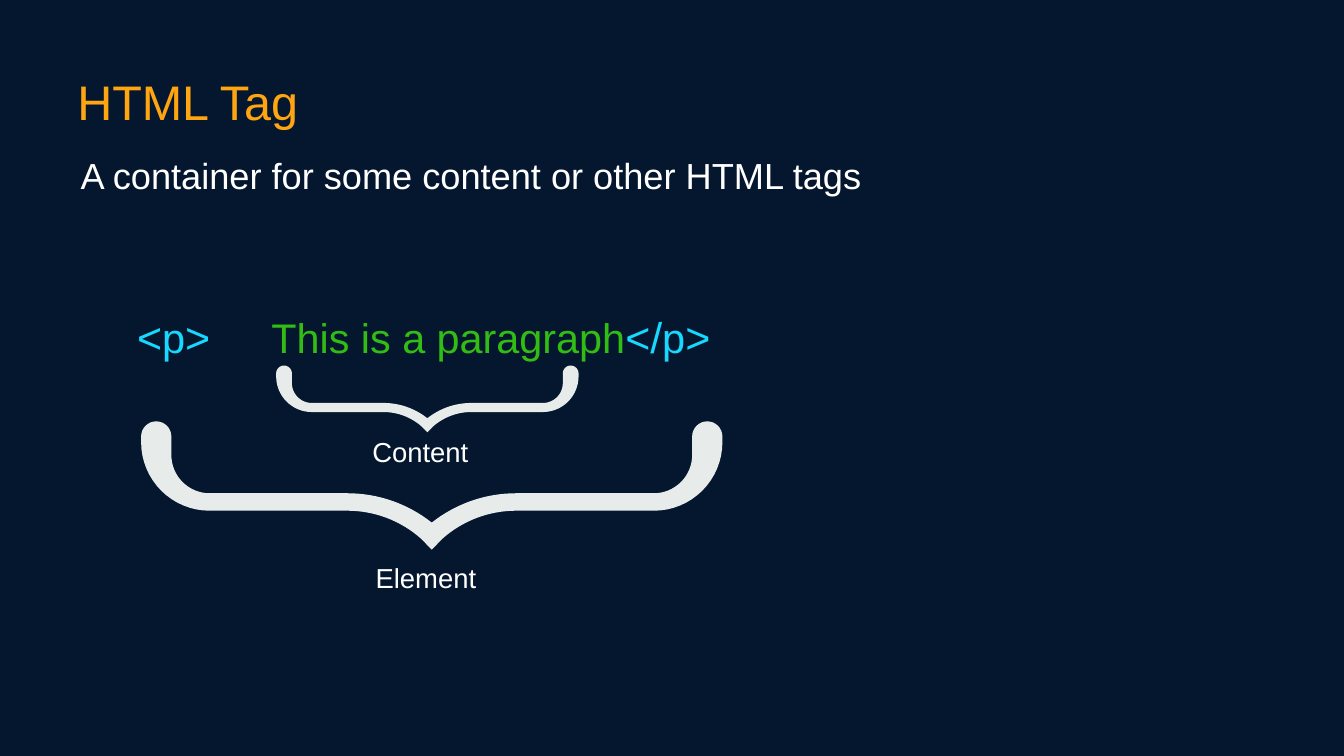
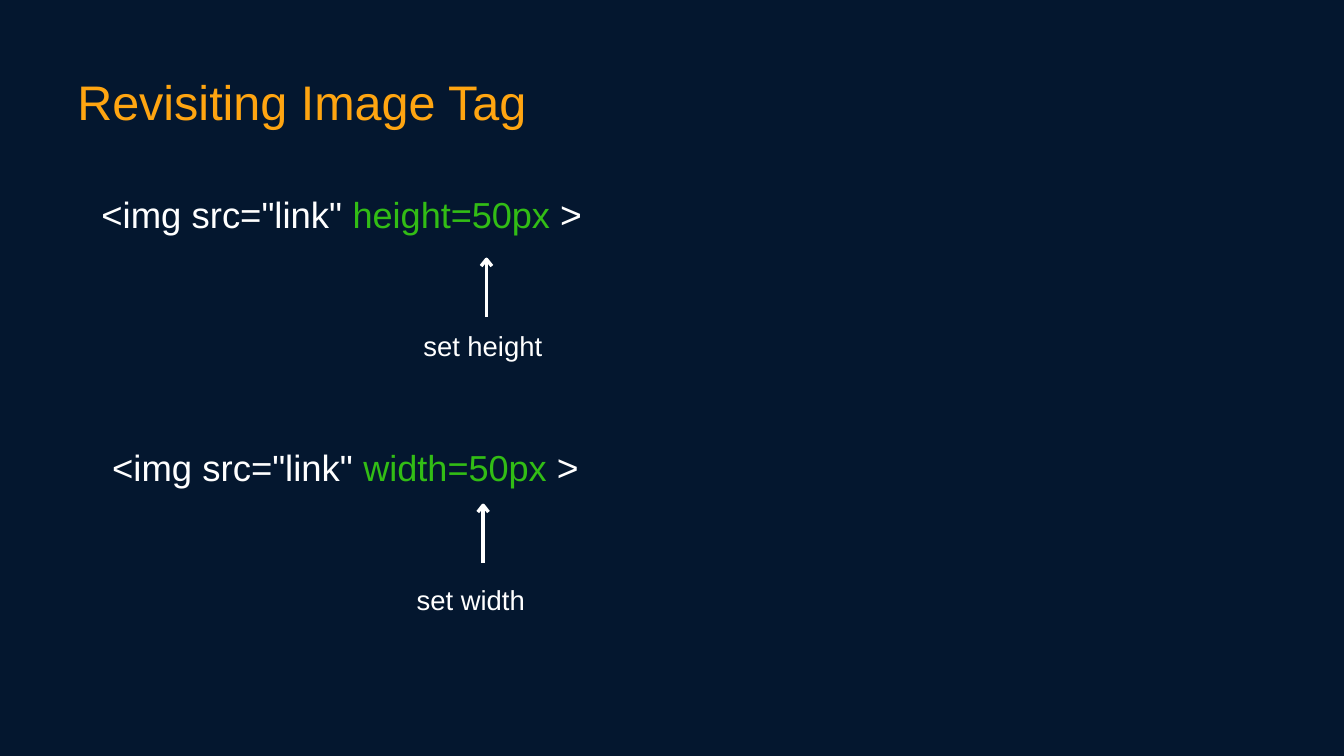
from math import cos, radians, sin

from lxml.etree import SubElement
from pptx import Presentation
from pptx.dml.color import RGBColor
from pptx.enum.shapes import MSO_CONNECTOR as Connector, MSO_SHAPE as Preset
from pptx.enum.text import MSO_ANCHOR as Anchor, MSO_AUTO_SIZE as AutoSize, PP_ALIGN as Align
from pptx.oxml.ns import qn
from pptx.util import Inches, Pt

# Shared look: a grid of 20 columns by 11.25 rows of square cells
SLIDE_W, SLIDE_H = Inches(20), Inches(11.25)
CELL = SLIDE_W / 20
FONT = "Arial"
COLORS = {
    "background": "04172F",
    "title": "FFA511",
    "text": "FFFFFF",
    "tag": "17D9FF",
    "highlight": "32BD15",
    "brace": "E7ECEB",
}
TITLE_SIZE, CODE_SIZE, LABEL_SIZE = 52, 39, 29.4
BRACKET_SIZE, TAG_NAME_SIZE = 46, 44.5
BRACE_WIDTH = 8.65
BRACE_END = 0.45 / 2


def color(name):
    return RGBColor.from_string(COLORS[name])


def cells(*counts):
    return [round(count * CELL) for count in counts]


def set_frame(frame):
    frame.word_wrap = True
    frame.auto_size = AutoSize.NONE
    frame.vertical_anchor = Anchor.TOP
    frame.margin_left = frame.margin_right = frame.margin_bottom = 0
    frame.margin_top = Inches(0.02)


def style(run, size, color_name):
    run.font.name = FONT
    run.font.size = Pt(size)
    run.font.color.rgb = color(color_name)


def fill_plain(shape, color_name):
    shape.shadow.inherit = False
    shape.fill.solid()
    shape.fill.fore_color.rgb = color(color_name)
    shape.line.fill.background()


def move_backdrop_to_master(deck, slide):
    """Draw the dark backdrop once and place it behind everything on the master."""
    backdrop = slide.shapes.add_shape(Preset.RECTANGLE, 0, 0, SLIDE_W, SLIDE_H)
    fill_plain(backdrop, "background")
    deck.slide_master.shapes._spTree.insert(2, backdrop._element)


def add_titled_slide(deck, heading):
    slide = deck.slides.add_slide(deck.slide_layouts[5])
    title = slide.shapes.title
    title.left, title.top, title.width, title.height = cells(1.15, 1.05, 17.7, 0.92)
    set_frame(title.text_frame)
    title.text_frame.text = heading
    line = title.text_frame.paragraphs[0]
    line.alignment = Align.LEFT
    style(line.runs[0], TITLE_SIZE, "title")
    return slide


def add_line(slide, area, pieces, tab_stop=None):
    """Add one line of text; each piece is (words, size, colour name)."""
    frame = slide.shapes.add_textbox(*cells(*area)).text_frame
    set_frame(frame)
    line = frame.paragraphs[0]
    if tab_stop:
        tabs = SubElement(line._p.get_or_add_pPr(), qn("a:tabLst"))
        SubElement(tabs, qn("a:tab"), pos=str(cells(tab_stop)[0]), algn="l")
    for words, size, color_name in pieces:
        run = line.add_run()
        run.text = words
        style(run, size, color_name)


def add_label(slide, left, top, words):
    add_line(slide, (left, top, 2, 0.52), [(words, LABEL_SIZE, "text")])


def arc(center_x, center_y, radius, start, end, steps=16):
    angles = [radians(start + (end - start) * i / steps) for i in range(steps + 1)]
    return [(center_x + radius * cos(a), center_y + radius * sin(a)) for a in angles]


def brace_outline():
    """Outline of a downward brace, BRACE_WIDTH wide, from its tip around the left."""
    middle = BRACE_WIDTH / 2
    left_half = [
        (middle, 1.91),
        *arc(3.07, 2.98, 1.65, -48.2, -90),                   # outer shoulder
        *arc(1.02, 0.31, 1.02, 90, 180),                      # outer corner
        *arc(BRACE_END, BRACE_END, BRACE_END, 180, 360),      # rounded end
        *arc(1.02, 0.5, 0.57, 180, 90),                       # inner corner
        *arc(3.07, 3.09, 2.02, -90, -51.6),                   # inner shoulder
        (middle, 1.51),
    ]
    right_half = [(BRACE_WIDTH - x, y) for x, y in reversed(left_half)]
    return left_half + right_half


def build_outline(shapes, corners, close):
    points = [cells(*corner) for corner in corners]
    builder = shapes.build_freeform(*points[0])
    builder.add_line_segments(points[1:], close=close)
    return builder.convert_to_shape()


def add_brace(slide, left, top, width):
    scale = width / BRACE_WIDTH
    corners = [(left + x * scale, top + y * scale) for x, y in brace_outline()]
    fill_plain(build_outline(slide.shapes, corners, close=True), "brace")


def add_up_arrow(slide, x, tip, length=0.86):
    """Group a shaft with an open, V-shaped head."""
    parts = slide.shapes.add_group_shape().shapes
    shaft = parts.add_connector(
        Connector.STRAIGHT, *cells(x, tip + length, x, tip + 0.01))
    SubElement(shaft._element.spPr, qn("a:effectLst"))
    head = build_outline(
        parts, [(x - 0.08, tip + 0.1), (x, tip), (x + 0.08, tip + 0.1)], close=False)
    head.shadow.inherit = False
    head.fill.background()
    for part in (shaft, head):
        part.line.color.rgb = color("text")
        part.line.width = Pt(3.75)


def add_attribute_example(slide, code_at, attribute, arrow_at, label_at, label):
    pieces = [
        ('<img src="link" ', CODE_SIZE + 0.1, "text"),
        (attribute + " ", CODE_SIZE - 0.3, "highlight"),
        (">", CODE_SIZE + 1, "text"),
    ]
    add_line(slide, (*code_at, 8.05, 0.7), pieces)
    add_up_arrow(slide, *arrow_at)
    add_label(slide, *label_at, label)


def build_tag_slide(deck):
    slide = add_titled_slide(deck, "HTML Tag")
    move_backdrop_to_master(deck, slide)
    add_line(slide, (1.2, 2.26, 12.75, 0.68),
             [("A container for some content or other HTML tags", 38.8, "text")])
    add_line(slide, (2.04, 4.6, 8.9, 0.8), [
        ("<", BRACKET_SIZE, "tag"),
        ("p", TAG_NAME_SIZE, "tag"),
        (">\t", BRACKET_SIZE, "tag"),
        ("This is a paragraph", 44.3, "highlight"),
        ("</", BRACKET_SIZE, "tag"),
        ("p", TAG_NAME_SIZE, "tag"),
        (">", BRACKET_SIZE, "tag"),
    ], tab_stop=2)
    # Braces naming the parts of the tag
    add_brace(slide, 4.11, 5.44, 4.5)
    add_label(slide, 5.54, 6.46, "Content")
    add_brace(slide, 2.1, 6.27, BRACE_WIDTH)
    add_label(slide, 5.59, 8.33, "Element")


def build_image_slide(deck):
    slide = add_titled_slide(deck, "Revisiting Image Tag")
    add_attribute_example(slide, (1.51, 2.82), "height=50px",
                          (7.24, 3.86), (6.3, 4.88), "set height")
    add_attribute_example(slide, (1.67, 6.59), "width=50px",
                          (7.19, 7.52), (6.2, 8.66), "set width")


def main():
    deck = Presentation()
    deck.slide_width, deck.slide_height = SLIDE_W, SLIDE_H
    build_tag_slide(deck)
    build_image_slide(deck)
    deck.save("out.pptx")


if __name__ == "__main__":
    main()
